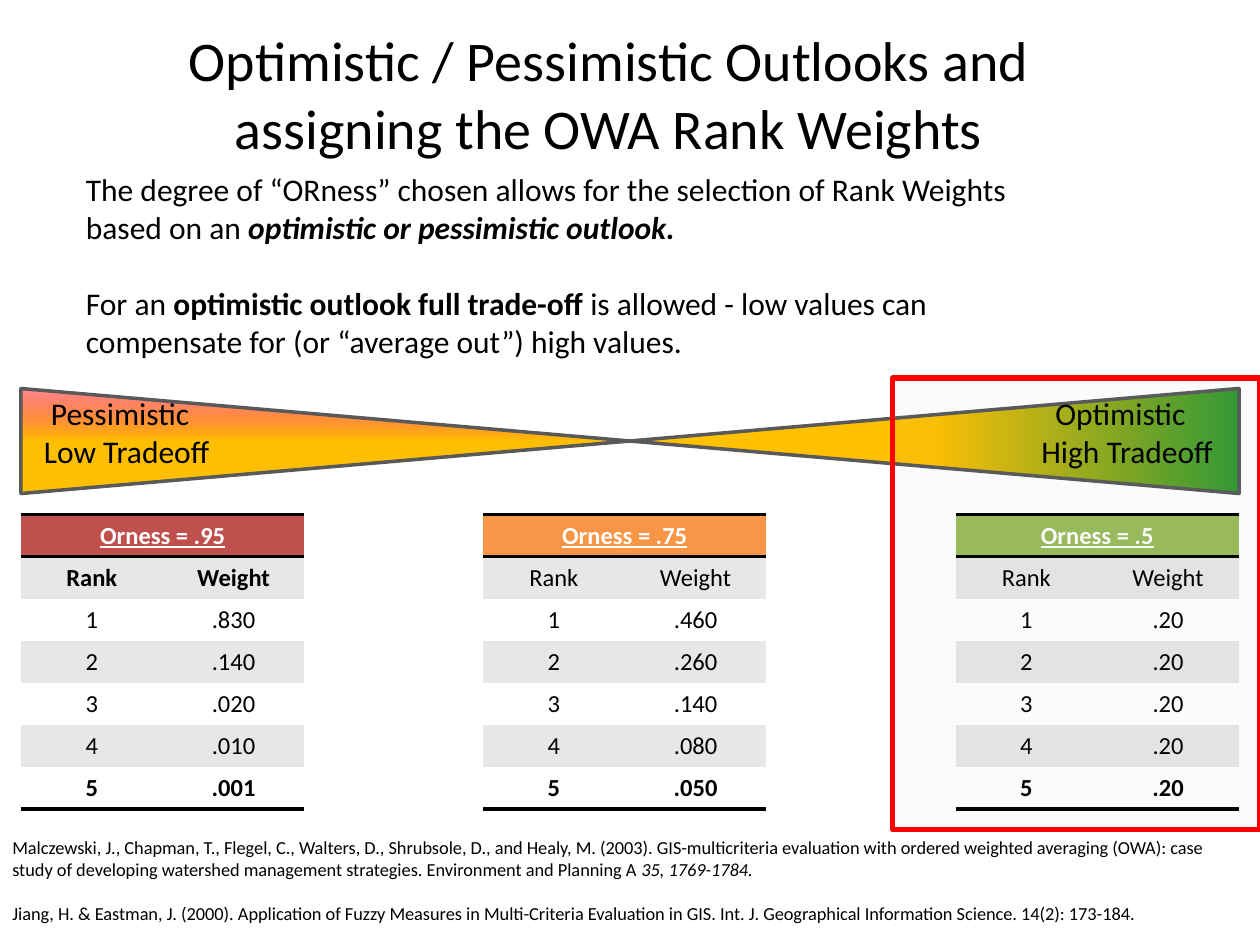
from lxml import etree
from pptx import Presentation
from pptx.dml.color import RGBColor
from pptx.enum.shapes import MSO_SHAPE as Form
from pptx.enum.text import MSO_ANCHOR as Anchor, MSO_AUTO_SIZE as Fit, PP_ALIGN as Align
from pptx.oxml import parse_xml
from pptx.oxml.ns import nsdecls, qn
from pptx.util import Pt

FONT = "Calibri"
BLACK, WHITE, GREY = "000000", "FFFFFF", "E7E7E7"
PLAIN = "{2D5ABB26-0587-4C30-8999-92F81FD0307C}"
RANKS = [
    (12, "C0504D", ".95", [".830", ".140", ".020", ".010", ".001"]),
    (276, "F79646", ".75", [".460", ".260", ".140", ".080", ".050"]),
    (546, "9BBB59", ".5", [".20"] * 5),
]
INTRO = [
    [("The degree of “ORness” chosen allows for the selection of Rank Weights based on an ", ""),
     ("optimistic or pessimistic outlook.", "bi")],
    [("For an ", ""), ("optimistic outlook full trade-off ", "b"),
     ("is allowed - low values can compensate for (or “average out”) high values.", "")],
]
CITES = [
    [("Malczewski, J., Chapman, T., Flegel, C., Walters, D., Shrubsole, D., and Healy, M. (2003). "
      "GIS-multicriteria evaluation with ordered weighted averaging (OWA): case study of developing "
      "watershed management strategies. Environment and Planning A", ""),
     (" 35, 1769-1784.", "i")],
    [("Jiang, H. & Eastman, J. (2000). Application of Fuzzy Measures in Multi-Criteria Evaluation "
      "in GIS. Int. J. Geographical Information Science. 14(2): 173-184.", "")],
]


def color(code):
    return RGBColor.from_string(code)


def add_run(para, text, size, tint=BLACK, style=""):
    run = para.add_run()
    run.text = text
    font = run.font
    font.name, font.size = FONT, Pt(size)
    font.color.rgb = color(tint)
    font.bold, font.italic, font.underline = (key in style for key in "biu")


def add_title(slide, text):
    title = slide.shapes.title
    title.left, title.top, title.width, title.height = Pt(54), Pt(-1.5), Pt(588), Pt(109.5)
    frame = title.text_frame
    frame.auto_size, frame.vertical_anchor = Fit.NONE, Anchor.MIDDLE
    para = frame.paragraphs[0]
    para.alignment = Align.CENTER
    add_run(para, text, 32)


def add_text(slide, box, paras, size, gap=0, indent=0):
    frame = slide.shapes.add_textbox(*map(Pt, box)).text_frame
    frame.word_wrap = True
    for i, runs in enumerate(paras):
        para = frame.add_paragraph() if i else frame.paragraphs[0]
        if i:
            para.space_before = Pt(gap)
        elif indent:
            para._p.get_or_add_pPr().set("indent", str(Pt(indent)))
        for text, style in runs:
            add_run(para, text, size, style=style)


def add_wedge(slide, left, turn, tint, alpha, angle):
    wedge = slide.shapes.add_shape(Form.FLOWCHART_MERGE, Pt(left), Pt(78), Pt(60), Pt(348))
    wedge.shadow.inherit = False
    wedge.rotation = turn
    wedge.line.color.rgb, wedge.line.width = color("595959"), Pt(2)
    props = wedge._element.spPr
    props.find(qn("a:xfrm")).set("flipV", "1")
    props.find(qn("a:prstGeom")).addnext(parse_xml(
        f'<a:gradFill {nsdecls("a")} rotWithShape="1"><a:gsLst>'
        f'<a:gs pos="0"><a:srgbClr val="{tint}"><a:alpha val="{alpha * 1000}"/></a:srgbClr></a:gs>'
        '<a:gs pos="50000"><a:srgbClr val="FFC000"/></a:gs></a:gsLst>'
        f'<a:lin ang="{angle * 60000}" scaled="0"/></a:gradFill>'))


def add_rules(cell, sides):
    props = cell._tc.get_or_add_tcPr()
    for i, side in enumerate(sides):
        props.insert(i, parse_xml(
            f'<a:ln{side} {nsdecls("a")} w="{Pt(2)}"><a:solidFill>'
            f'<a:srgbClr val="{BLACK}"/></a:solidFill></a:ln{side}>'))


def set_cell(cell, text, fill, tint=BLACK, style="", sides=""):
    cell.fill.solid()
    cell.fill.fore_color.rgb = color(fill)
    cell.vertical_anchor = Anchor.MIDDLE
    para = cell.text_frame.paragraphs[0]
    para.alignment = Align.CENTER
    if text:
        add_run(para, text, 14, tint, style)
    add_rules(cell, sides)


def add_ranks(slide, left, tint, degree, weights):
    rows = [("Rank", "Weight")] + [(str(i), w) for i, w in enumerate(weights, 1)]
    count = len(rows) + 1
    table = slide.shapes.add_table(count, 2, Pt(left), Pt(294), Pt(162), Pt(24 * count)).table
    table._tbl.tblPr.find(qn("a:tableStyleId")).text = PLAIN
    table.first_row = table.horz_banding = False
    for row in table.rows:
        row.height = Pt(24)
    table.cell(0, 0).merge(table.cell(0, 1))
    for col, text in enumerate((f"Orness = {degree}", "")):
        set_cell(table.cell(0, col), text, tint, WHITE, "bu", "TB")
    for i, row in enumerate(rows, 1):
        last = i == count - 1
        strong = last or (i == 1 and degree == ".95")
        for col, text in enumerate(row):
            set_cell(table.cell(i, col), text, GREY if i % 2 else WHITE,
                     style="b" if strong else "", sides="B" if last else "")


def add_frame(slide):
    frame = slide.shapes.add_shape(Form.RECTANGLE, Pt(510), Pt(216), Pt(210), Pt(258))
    frame.shadow.inherit = False
    frame.fill.solid()
    frame.fill.fore_color.rgb = color("4F81BD")
    frame.line.color.rgb, frame.line.width = color("FF0000"), Pt(3)
    tone = frame._element.spPr.find(qn("a:solidFill")).find(qn("a:srgbClr"))
    etree.SubElement(tone, qn("a:alpha")).set("val", "3000")


def main():
    deck = Presentation()
    deck.slide_width, deck.slide_height = Pt(720), Pt(540)
    slide = deck.slides.add_slide(deck.slide_layouts[5])
    add_wedge(slide, 504, 270, "339933", 100, 90)
    add_wedge(slide, 156, 90, "FF0000", 45, 0)
    add_title(slide, "Optimistic / Pessimistic Outlooks and assigning the OWA Rank Weights")
    add_text(slide, (0, 474, 720, 70), CITES, 10.5, gap=12.8)
    add_text(slide, (42, 93.6, 582, 117), INTRO, 18, gap=22)
    for left, width, word, level, indent in (
            (18, 228, "Pessimistic", "Low", 4), (588, 126, "Optimistic", "High", 8)):
        add_text(slide, (left, 221.5, width, 58.5),
                 [[(word, "")], [(f"{level} Tradeoff", "")]], 18, indent=indent)
    for item in RANKS:
        add_ranks(slide, *item)
    add_frame(slide)
    deck.save("out.pptx")


if __name__ == "__main__":
    main()
